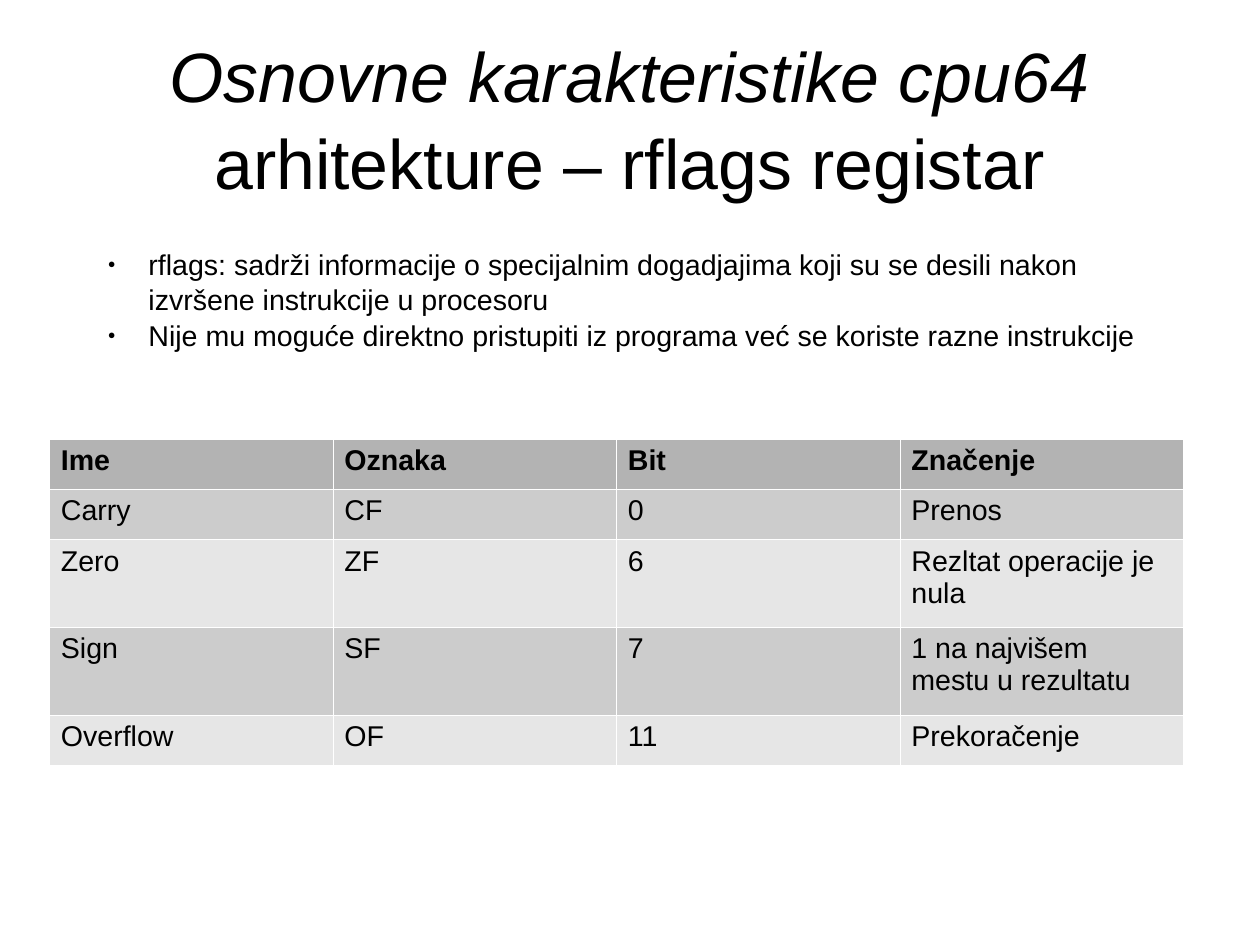
from lxml import etree
from pptx import Presentation
from pptx.dml.color import RGBColor
from pptx.enum.text import MSO_ANCHOR, MSO_AUTO_SIZE, PP_ALIGN
from pptx.oxml.ns import qn
from pptx.util import Cm, Pt

MIDDLE, CENTER = MSO_ANCHOR.MIDDLE, PP_ALIGN.CENTER
FIXED = MSO_AUTO_SIZE.NONE

TITLE = [("Osnovne karakteristike cpu64", True),
         (" arhitekture – rflags registar", False)]
POINTS = [
    "rflags: sadrži informacije o specijalnim dogadjajima koji su se desili "
    "nakon izvršene instrukcije u procesoru",
    "Nije mu moguće direktno pristupiti iz programa već se koriste razne instrukcije",
]
FLAGS = [
    ("Ime", "Oznaka", "Bit", "Značenje"),
    ("Carry", "CF", "0", "Prenos"),
    ("Zero", "ZF", "6", "Rezltat operacije je nula"),
    ("Sign", "SF", "7", "1 na najvišem mestu u rezultatu"),
    ("Overflow", "OF", "11", "Prekoračenje"),
]
ROWS = [1.12, 1.12, 1.95, 1.95, 1.12]
COL = 6.3
HEAD, BANDS = "B3B3B3", ("CCCCCC", "E6E6E6")
BLACK, WHITE = "000000", "FFFFFF"
SPACING = 1.04


def color(target, code):
    target.rgb = RGBColor.from_string(code)


def style(run, size, bold=False, italic=False):
    font = run.font
    font.name, font.size = "Arial", Pt(size)
    font.bold, font.italic = bold, italic
    color(font.color, BLACK)


def add(parent, tag, **attrs):
    return etree.SubElement(parent, qn(tag), attrs)


def bullet(para):
    props = para._p.get_or_add_pPr()
    props.set("marL", str(Cm(1.2)))
    props.set("indent", str(-Cm(0.9)))
    add(add(props, "a:buClr"), "a:srgbClr", val=BLACK)
    add(props, "a:buSzPct", val="45000")
    add(props, "a:buFont", typeface="Arial")
    add(props, "a:buChar", char="●")


def border(cell):
    props = cell._tc.get_or_add_tcPr()
    for side in ("a:lnL", "a:lnR", "a:lnT", "a:lnB"):
        line = add(props, side, w=str(Pt(0.06)))
        add(add(line, "a:solidFill"), "a:srgbClr", val=WHITE)


deck = Presentation()
deck.slide_width, deck.slide_height = Cm(28), Cm(21)
slide = deck.slides.add_slide(deck.slide_layouts[5])

title = slide.shapes.title
title.left, title.top, title.width, title.height = Cm(1.4), Cm(0.84), Cm(25.2), Cm(3.5)
frame = title.text_frame
frame.margin_left = frame.margin_right = frame.margin_top = frame.margin_bottom = 0
frame.vertical_anchor, frame.auto_size, frame.word_wrap = MIDDLE, FIXED, True
para = frame.paragraphs[0]
para.alignment, para.line_spacing = CENTER, SPACING
for text, italic in TITLE:
    run = para.add_run()
    run.text = text
    style(run, 44, italic=italic)

table = slide.shapes.add_table(len(FLAGS), len(FLAGS[0]), Cm(1.1), Cm(9.75),
                               Cm(COL * len(FLAGS[0])), Cm(sum(ROWS))).table
for col in table.columns:
    col.width = Cm(COL)
for r, (flag, height) in enumerate(zip(FLAGS, ROWS)):
    table.rows[r].height = Cm(height)
    shade = BANDS[(r - 1) % 2] if r else HEAD
    for c, text in enumerate(flag):
        cell = table.cell(r, c)
        cell.text_frame.text = text
        style(cell.text_frame.paragraphs[0].runs[0], 18, bold=r == 0)
        border(cell)
        cell.fill.solid()
        color(cell.fill.fore_color, shade)

box = slide.shapes.add_textbox(Cm(1.85), Cm(5.33), Cm(24.3), Cm(5.5))
frame = box.text_frame
frame.word_wrap, frame.auto_size = True, FIXED
frame.text = "\n".join(POINTS)
for para in frame.paragraphs:
    para.line_spacing = SPACING
    bullet(para)
    style(para.runs[0], 18)

deck.save("out.pptx")
